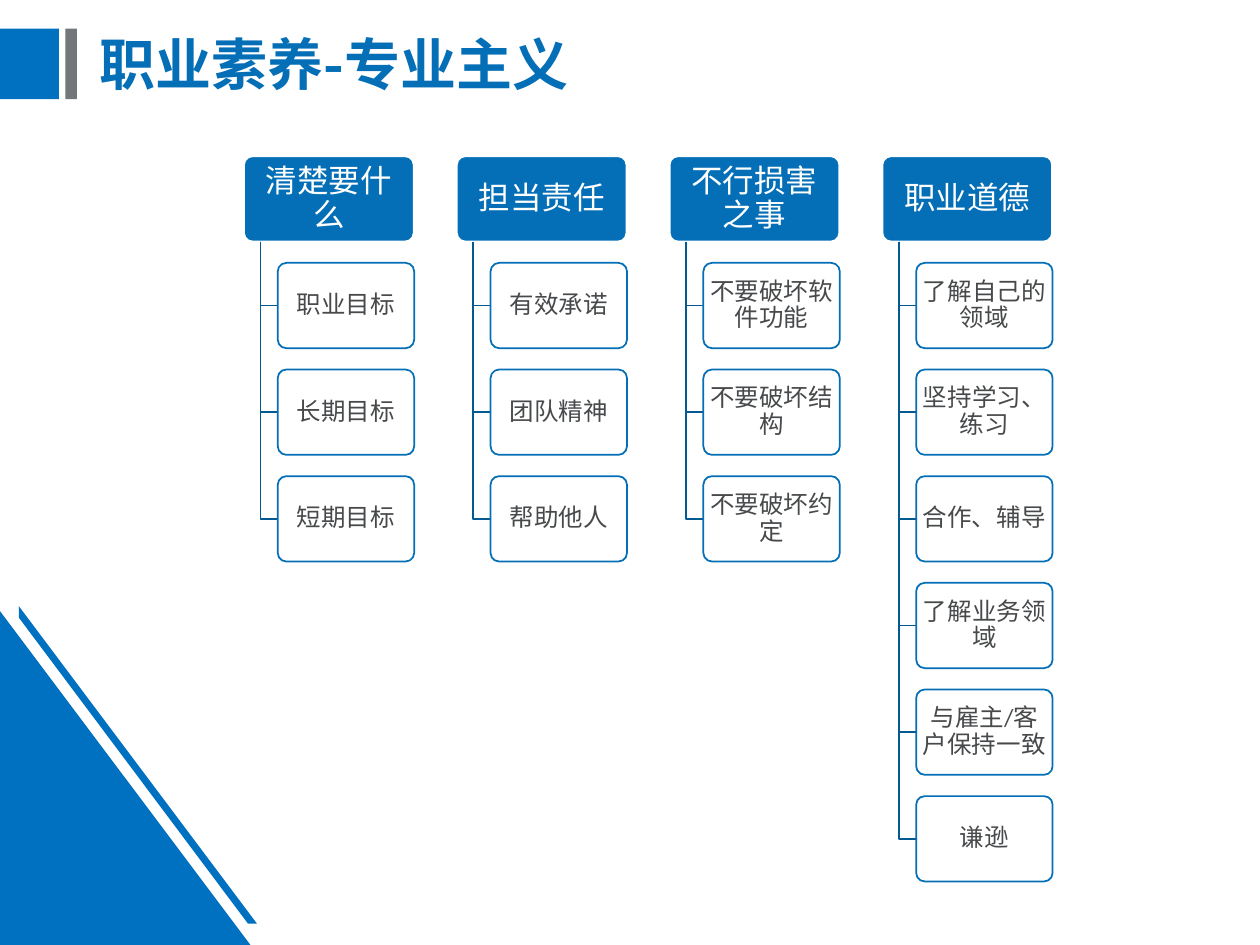
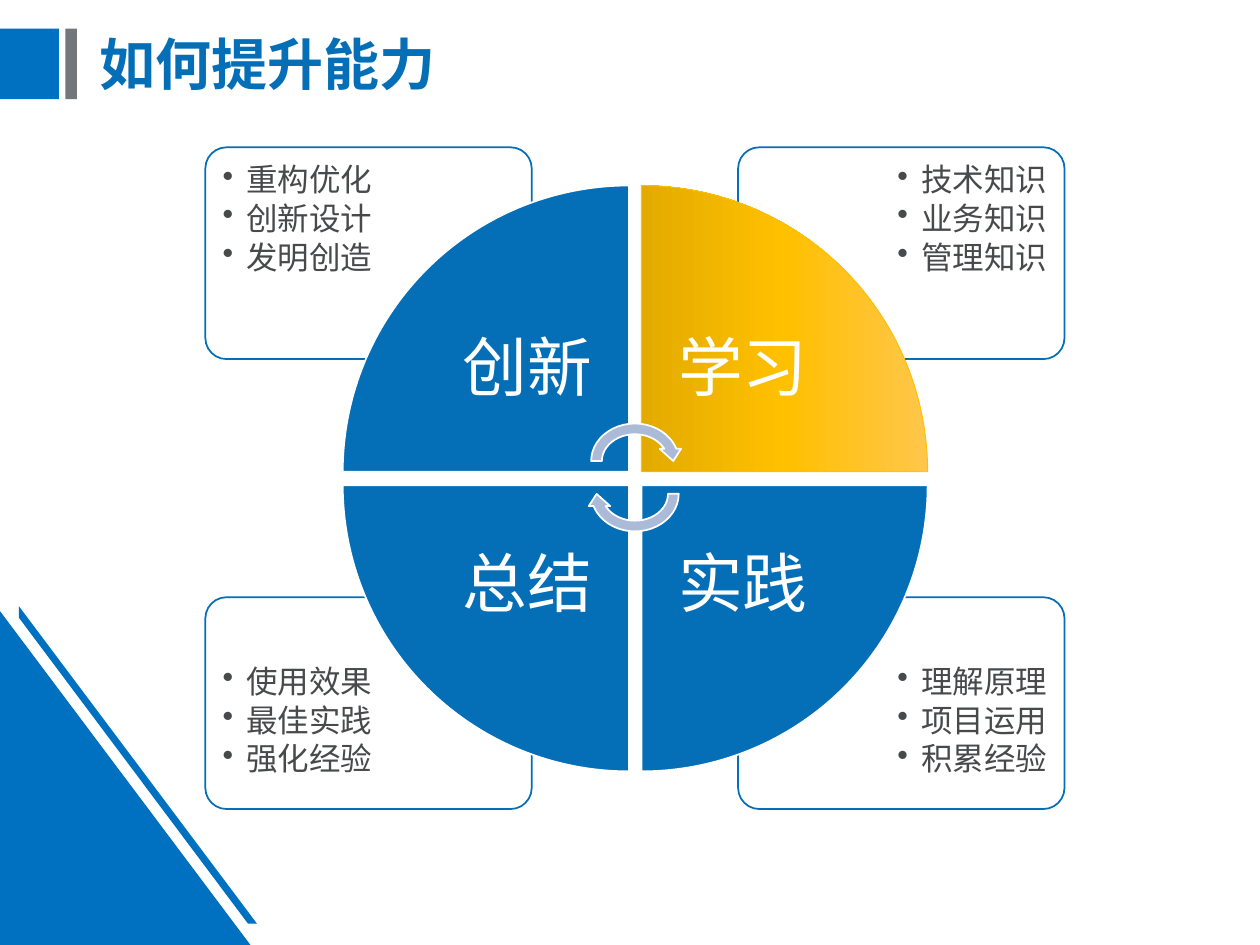
from lxml.etree import SubElement
from pptx import Presentation
from pptx.dml.color import RGBColor
from pptx.enum.lang import MSO_LANGUAGE_ID as Language
from pptx.enum.shapes import MSO_SHAPE as Preset
from pptx.enum.text import MSO_ANCHOR as Anchor, PP_ALIGN as Align
from pptx.oxml import parse_xml
from pptx.oxml.ns import nsdecls, qn
from pptx.util import Cm, Pt

BRIGHT_BLUE = "0070C0"
BLUE = "046FB6"
DARK_BLUE = "035992"
PALE_BLUE = "ABBBD7"
GOLD = "FFC000"
GOLD_STOPS = ((0, "FFC64B"), (50, GOLD), (100, "E3AB00"))
GRAY = "73767A"
INK = "47494B"
WHITE = "FFFFFF"
TITLE_FONT = "Noto Sans CJK SC"
BODY_FONT = "Calibri"

PRINCIPLES = {
    "清楚要什么": ["职业目标", "长期目标", "短期目标"],
    "担当责任": ["有效承诺", "团队精神", "帮助他人"],
    "不行损害之事": ["不要破坏软件功能", "不要破坏结构", "不要破坏约定"],
    "职业道德": ["了解自己的领域", "坚持学习、练习", "合作、辅导",
             "了解业务领域", "与雇主/客户保持一致", "谦逊"],
}
COLUMN_LEFT, COLUMN_PITCH = 4.92, 4.29
TREE_TOP, HEADER_WIDTH, NODE_HEIGHT = 3.15, 3.42, 1.72
ROW_PITCH = 1.25 * NODE_HEIGHT
STEM_INDENT, ITEM_INDENT, ITEM_WIDTH = 0.33, 0.68, 2.75

STAGES = [
    ("创新", 0, 0, 0, ["重构优化", "创新设计", "发明创造"]),
    ("学习", 1, 0, 90, ["技术知识", "业务知识", "管理知识"]),
    ("实践", 1, 1, 180, ["理解原理", "项目运用", "积累经验"]),
    ("总结", 0, 1, 270, ["使用效果", "最佳实践", "强化经验"]),
]
CARD_LEFTS, CARD_TOPS = (4.14, 14.88), (2.97, 12.04)
LIST_LEFTS, LIST_TOPS = (4.24, 16.94), (3.07, 13.18)
WEDGE_LEFTS, WEDGE_TOPS = (6.91, 12.93), (3.74, 9.78)
LABEL_LEFTS, LABEL_TOPS = (8.59, 12.93), (5.43, 9.78)


def color(value):
    """Turn a hex string into a colour."""
    return RGBColor.from_string(value)


def paint(shape, fill=None, line=None, weight=1, alpha=None):
    """Set fill, outline and opacity, and remove the shadow."""
    shape.shadow.inherit = False
    if fill:
        shape.fill.solid()
        shape.fill.fore_color.rgb = color(fill)
    else:
        shape.fill.background()
    if alpha:
        tint = shape.element.spPr.find(f"{qn('a:solidFill')}/{qn('a:srgbClr')}")
        SubElement(tint, qn("a:alpha"), val=str(alpha * 1000))
    if line:
        shape.line.color.rgb = color(line)
        shape.line.width = Pt(weight)
    else:
        shape.line.fill.background()


def paint_gradient(shape, stops, angle):
    """Replace the solid fill by a linear gradient."""
    marks = "".join(f'<a:gs pos="{place * 1000}"><a:srgbClr val="{tint}"/></a:gs>'
                    for place, tint in stops)
    gradient = parse_xml(
        f'<a:gradFill {nsdecls("a")} rotWithShape="1"><a:gsLst>{marks}</a:gsLst>'
        f'<a:lin ang="{angle * 60000}" scaled="0"/></a:gradFill>')
    properties = shape.element.spPr
    properties.replace(properties.find(qn("a:solidFill")), gradient)


def add_bullet(para, indent=0.48):
    """Give a paragraph a hanging round bullet."""
    properties = para._p.get_or_add_pPr()
    properties.set("marL", str(Cm(indent)))
    properties.set("indent", str(-Cm(indent)))
    SubElement(properties, qn("a:buChar"), char="•")


def write(shape, lines, size=18, ink=INK, font=BODY_FONT, bold=False,
          align=Align.CENTER, anchor=Anchor.MIDDLE, inset=(0.25, 0.13),
          after=0, bullet=False):
    """Fill a shape with formatted paragraphs."""
    frame = shape.text_frame
    frame.word_wrap = True
    frame.vertical_anchor = anchor
    frame.margin_left = frame.margin_right = Cm(inset[0])
    frame.margin_top = frame.margin_bottom = Cm(inset[1])
    for index, line in enumerate(lines):
        para = frame.add_paragraph() if index else frame.paragraphs[0]
        para.alignment = align
        para.line_spacing = 0.9
        para.space_before, para.space_after = Pt(0), Pt(after)
        if bullet:
            add_bullet(para)
        span = para.add_run()
        span.text = line
        span.font.name = font
        span.font.size = Pt(size)
        span.font.bold = bold
        span.font.color.rgb = color(ink)
        span.font.language_id = Language.SIMPLIFIED_CHINESE
        SubElement(span._r.get_or_add_rPr(), qn("a:ea"), typeface=font)


def add_block(page, preset, left, top, width, height, rotation=0, **look):
    """Add a painted preset shape."""
    shape = page.shapes.add_shape(preset, Cm(left), Cm(top), Cm(width), Cm(height))
    if preset == Preset.ROUNDED_RECTANGLE:
        shape.adjustments[0] = 0.1
    shape.rotation = rotation
    paint(shape, **look)
    return shape


def add_outline(page, points, close=False, **look):
    """Draw a freeform through points given in centimetres."""
    start, *rest = [(Cm(x), Cm(y)) for x, y in points]
    builder = page.shapes.build_freeform(*start)
    builder.add_line_segments(rest, close=close)
    paint(builder.convert_to_shape(), **look)


def add_text(page, lines, left, top, width, height, **style):
    """Add a text box."""
    box = page.shapes.add_textbox(Cm(left), Cm(top), Cm(width), Cm(height))
    write(box, lines, **style)


def add_page(deck, heading):
    """Start a slide with the shared decoration and title."""
    page = deck.slides.add_slide(deck.slide_layouts[5])
    add_block(page, Preset.RECTANGLE, 0, 0.58, 1.19, 1.42, fill=BRIGHT_BLUE)
    add_block(page, Preset.RECTANGLE, 1.32, 0.58, 0.23, 1.42, fill=GRAY)
    add_block(page, Preset.RIGHT_TRIANGLE, 0, 12.32, 5.05, 6.73, fill=BRIGHT_BLUE)
    add_outline(page, [(0.38, 12.22), (5.18, 18.62), (5, 18.62), (0.38, 12.45)],
                close=True, fill=BRIGHT_BLUE)
    title = page.shapes.title
    title.left, title.top, title.width, title.height = Cm(1.75), Cm(0.25), Cm(22.6), Cm(2.21)
    write(title, [heading], size=32, ink=BLUE, font=TITLE_FONT, bold=True, align=Align.LEFT)
    return page


def add_branch(page, left, heading, items):
    """Draw one header with its items hanging from a stem."""
    header = add_block(page, Preset.ROUNDED_RECTANGLE, left, TREE_TOP, HEADER_WIDTH,
                       NODE_HEIGHT, fill=BLUE, line=WHITE)
    write(header, [heading], ink=WHITE, inset=(0.1, 0.08))
    stem, item_left = left + STEM_INDENT, left + ITEM_INDENT
    for row, item in enumerate(items, 1):
        top = TREE_TOP + row * ROW_PITCH
        middle = top + NODE_HEIGHT / 2
        add_outline(page, [(stem, TREE_TOP + NODE_HEIGHT), (stem, middle),
                           (item_left, middle)], line=DARK_BLUE)
        node = add_block(page, Preset.ROUNDED_RECTANGLE, item_left, top, ITEM_WIDTH,
                         NODE_HEIGHT, fill=WHITE, alpha=90, line=BLUE)
        write(node, [item], size=14, inset=(0.07, 0.05))


def add_card(page, column, row, points):
    """Draw a corner card with its bullet list."""
    add_block(page, Preset.ROUNDED_RECTANGLE, CARD_LEFTS[column], CARD_TOPS[row],
              6.58, 4.27, fill=WHITE, alpha=90, line=BLUE)
    add_text(page, points, LIST_LEFTS[column], LIST_TOPS[row], 4.42, 3.02,
             align=Align.RIGHT if column else Align.LEFT, anchor=Anchor.TOP,
             inset=(0.25, 0.25), after=2.7, bullet=True)


def add_wedge(page, column, row, turn, label):
    """Draw one quarter of the wheel with its label."""
    highlighted = label == "学习"
    wedge = add_block(page, Preset.PIE_WEDGE, WEDGE_LEFTS[column], WEDGE_TOPS[row],
                      5.77, 5.77, rotation=turn, fill=BLUE,
                      line=GOLD if highlighted else WHITE,
                      weight=0.5 if highlighted else 1)
    if highlighted:
        paint_gradient(wedge, GOLD_STOPS, 90)
    add_text(page, [label], LABEL_LEFTS[column], LABEL_TOPS[row], 4.09, 4.09,
             size=37, ink=WHITE, inset=(0.7, 0.7))


def main():
    """Build and save the deck."""
    deck = Presentation()
    deck.slide_width, deck.slide_height = Cm(25.4), Cm(19.05)

    page = add_page(deck, "职业素养-专业主义")
    for column, (heading, items) in enumerate(PRINCIPLES.items()):
        add_branch(page, COLUMN_LEFT + column * COLUMN_PITCH, heading, items)

    page = add_page(deck, "如何提升能力")
    for label, column, row, turn, points in STAGES:
        add_card(page, column, row, points)
    for label, column, row, turn, points in STAGES:
        add_wedge(page, column, row, turn, label)
    for top, turn in ((8.43, 0), (9.09, 180)):
        add_block(page, Preset.CIRCULAR_ARROW, 11.81, top, 1.98, 1.73, rotation=turn,
                  fill=PALE_BLUE, line=WHITE)

    deck.save("out.pptx")


if __name__ == "__main__":
    main()
